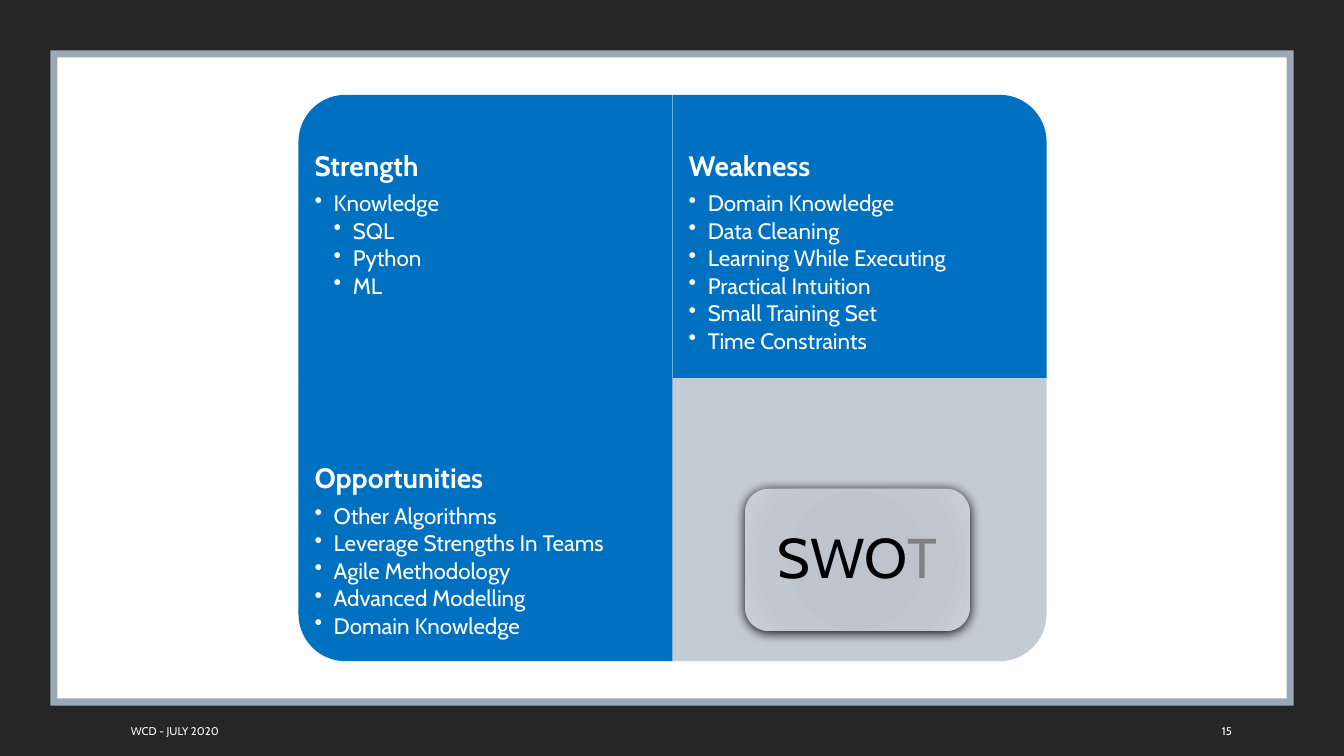
from lxml.etree import SubElement
from pptx import Presentation
from pptx.dml.color import RGBColor as Rgb
from pptx.enum.shapes import MSO_SHAPE as Shape
from pptx.enum.text import MSO_ANCHOR as Anchor, PP_ALIGN as Align
from pptx.oxml.ns import qn
from pptx.util import Inches, Pt

COLORS = {
    "frame": "262626", "border": "9BA8B7", "white": "FFFFFF",
    "blue": "0070C0", "gray": "C3CBD4", "black": "000000", "faded": "808080",
}
GLOW_STOPS = [(0, "BBC2CB"), (34, "BDC4CC"), (70, "C0C7D0"), (100, "CAD0D8")]
CENTER_X, CENTER_Y = 6.67, 3.75
PANEL_WIDTH, PANEL_HEIGHT, TEXT_HEIGHT = 3.71, 2.81, 2.11
INDENT = 0.19

HEADING = {"size": Pt(20), "bold": True}
ITEM = {"size": Pt(16), "bold": False}
TITLE = {"size": Pt(40)}
SMALL = {"size": Pt(8)}

QUADRANTS = [
    (0, 0, 270, "blue", "Strength",
     [(1, "Knowledge"), (2, "SQL"), (2, "Python"), (2, "ML")]),
    (1, 0, 0, "blue", "Weakness",
     [(1, "Domain Knowledge"), (1, "Data Cleaning"),
      (1, "Learning While Executing"), (1, "Practical Intuition"),
      (1, "Small Training Set"), (1, "Time Constraints")]),
    (0, 1, 180, "blue", "Opportunities",
     [(1, "Other Algorithms"), (1, "Leverage Strengths In Teams"),
      (1, "Agile Methodology"), (1, "Advanced Modelling"),
      (1, "Domain Knowledge")]),
    (1, 1, 90, "gray", None, []),
]


class SlideBuilder:
    """Draws styled elements on the current slide."""

    def __init__(self, slide, font="Cabin"):
        self.slide = slide
        self.font = font

    def shape(self, kind, left, top, width, height, color=None, angle=0):
        if angle % 180:
            left += (width - height) / 2
            top += (height - width) / 2
            width, height = height, width
        shape = self.slide.shapes.add_shape(
            kind, *map(Inches, (left, top, width, height)))
        shape.rotation = angle
        shape.shadow.inherit = False
        shape.line.fill.background()
        if color:
            shape.fill.solid()
            shape.fill.fore_color.rgb = Rgb.from_string(COLORS[color])
        return shape

    def text_box(self, left, top, width, height, insets=None, anchor=Anchor.TOP):
        box = self.slide.shapes.add_textbox(
            *map(Inches, (left, top, width, height)))
        frame = box.text_frame
        frame.word_wrap = True
        frame.vertical_anchor = anchor
        for side, value in (insets or {}).items():
            setattr(frame, f"margin_{side}", Inches(value))
        return frame

    def paragraph(self, frame, spans, style, level=0, **layout):
        para = frame.paragraphs[0]
        if para.runs:
            para = frame.add_paragraph()
        for name, value in layout.items():
            setattr(para, name, value)
        if level:
            properties = para._p.get_or_add_pPr()
            properties.set("marL", str(Inches(INDENT * level)))
            properties.set("indent", str(-Inches(INDENT)))
            SubElement(properties, qn("a:buChar"), char="•")
        for text, color in spans:
            span = para.add_run()
            span.text = text
            for name, value in {"name": self.font, **style}.items():
                setattr(span.font, name, value)
            span.font.color.rgb = Rgb.from_string(COLORS[color])

    def quadrant(self, column, row, angle, color, heading, items):
        left = CENTER_X + (column - 1) * PANEL_WIDTH
        top = CENTER_Y + (row - 1) * PANEL_HEIGHT
        self.shape(Shape.ROUND_1_RECTANGLE, left, top,
                   PANEL_WIDTH, PANEL_HEIGHT, color, angle)
        if not heading:
            return
        insets = dict.fromkeys(("left", "top", "right", "bottom"), 0.16)
        if row == 0:
            insets["top"] = 0.57
        text_top = top + row * (PANEL_HEIGHT - TEXT_HEIGHT)
        frame = self.text_box(left, text_top, PANEL_WIDTH, TEXT_HEIGHT, insets)
        self.paragraph(frame, [(heading, "white")], HEADING,
                       line_spacing=0.9, space_after=Pt(7))
        for level, text in items:
            self.paragraph(frame, [(text, "white")], ITEM, level,
                           line_spacing=0.9, space_after=Pt(2.4))

    def badge(self, left, top, width, height, spans):
        shape = self.shape(Shape.ROUNDED_RECTANGLE, left, top, width, height)
        shape.fill.background()
        properties = shape._element.spPr
        old_fill = properties.find(qn("a:noFill"))
        gradient = SubElement(properties, qn("a:gradFill"), rotWithShape="1")
        properties.replace(old_fill, gradient)
        stops = SubElement(gradient, qn("a:gsLst"))
        for position, color in GLOW_STOPS:
            stop = SubElement(stops, qn("a:gs"), pos=str(position * 1000))
            SubElement(stop, qn("a:srgbClr"), val=color)
        circle = SubElement(gradient, qn("a:path"), {"path": "circle"})
        SubElement(circle, qn("a:fillToRect"), dict.fromkeys("ltrb", "100000"))
        shadow = SubElement(
            properties.find(qn("a:effectLst")), qn("a:outerShdw"),
            blurRad=str(Pt(8.5)), dist=str(Pt(1)), dir="5400000",
            algn="ctr", rotWithShape="0")
        SubElement(shadow, qn("a:srgbClr"), val=COLORS["black"])
        insets = dict.fromkeys(("left", "top", "right", "bottom"), 0.17)
        frame = self.text_box(left + 0.07, top + 0.07, width - 0.14,
                              height - 0.14, insets, Anchor.MIDDLE)
        self.paragraph(frame, spans, TITLE, alignment=Align.CENTER,
                       line_spacing=0.9, space_after=Pt(14))

    def footer(self, left, width, text):
        frame = self.text_box(left, 7.05, width, 0.4, anchor=Anchor.MIDDLE)
        self.paragraph(frame, [(text, "white")], SMALL)


def main():
    deck = Presentation()
    deck.slide_width, deck.slide_height = Inches(13.33), Inches(7.5)
    page = SlideBuilder(deck.slides.add_slide(deck.slide_layouts[6]))
    for margin, bottom, color in ((0, 0, "frame"), (0.5, 0.5, "border"),
                                  (0.57, 0.57, "white")):
        page.shape(Shape.RECTANGLE, margin, margin,
                   13.33 - 2 * margin, 7.5 - margin - bottom, color)
    for quadrant in QUADRANTS:
        page.quadrant(*quadrant)
    page.badge(7.39, 4.85, 2.23, 1.41, [("SWO", "black"), ("T", "faded")])
    page.footer(1.2, 7.46, "WCD - JULY 2020")
    page.footer(12.02, 0.85, "15")
    deck.save("out.pptx")


if __name__ == "__main__":
    main()
